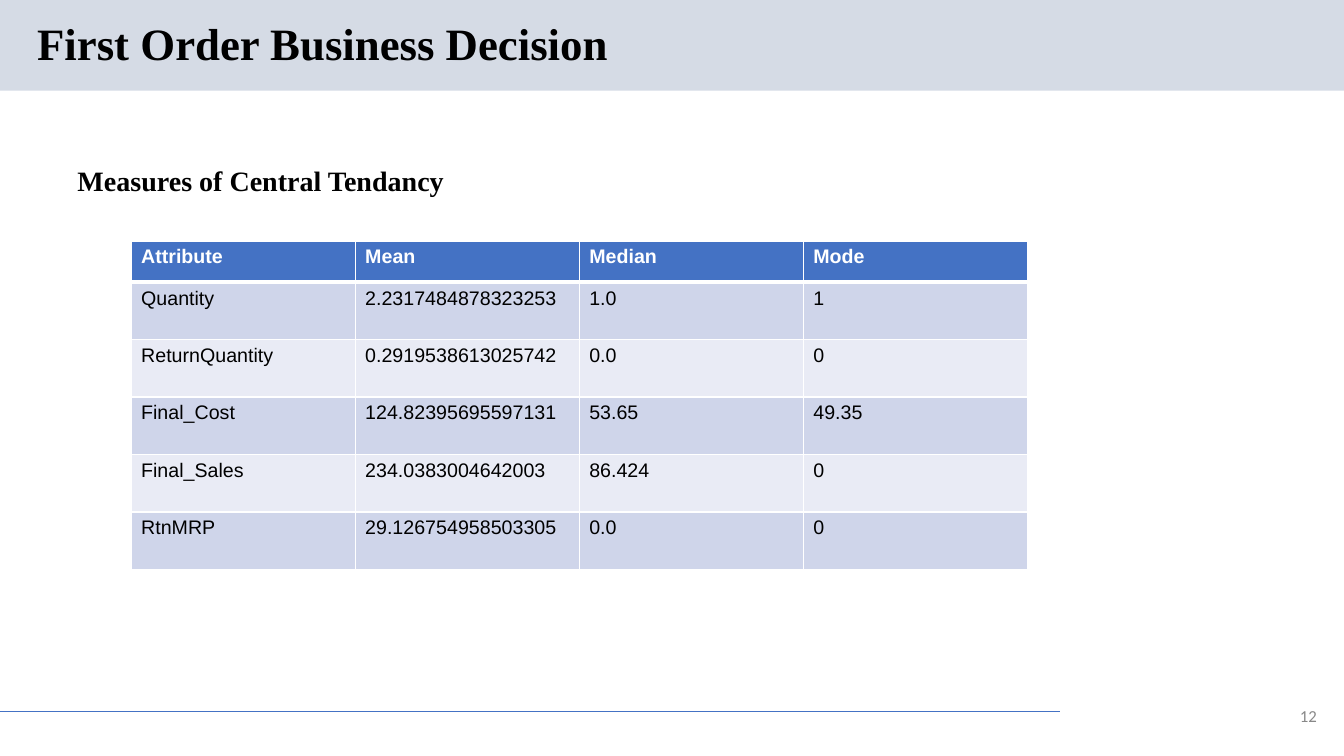
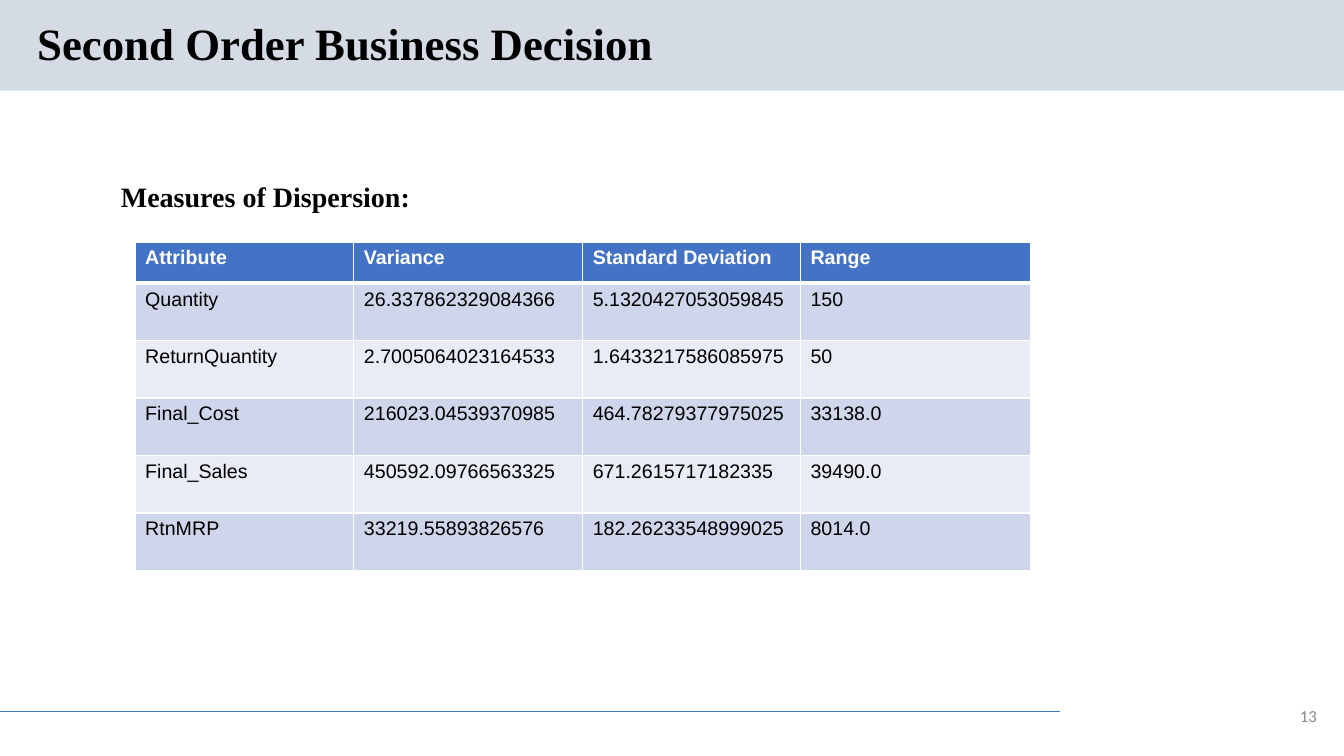
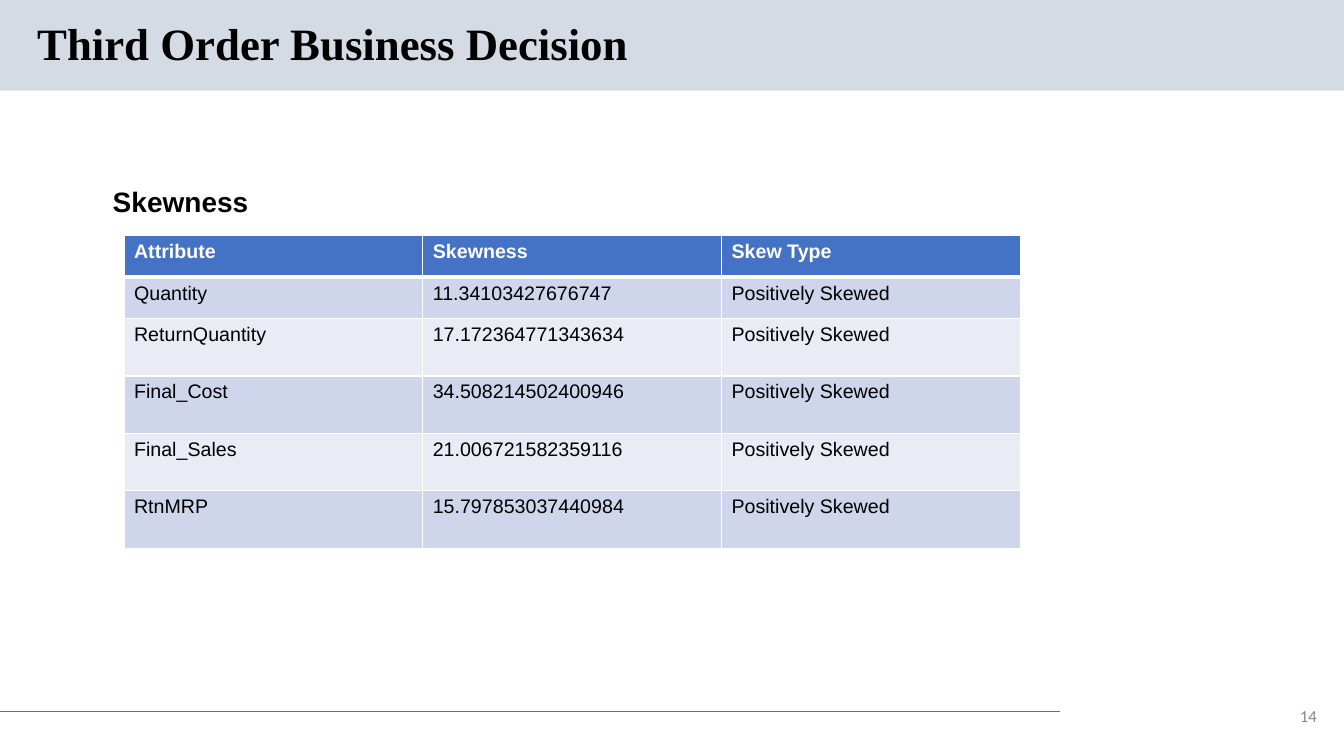
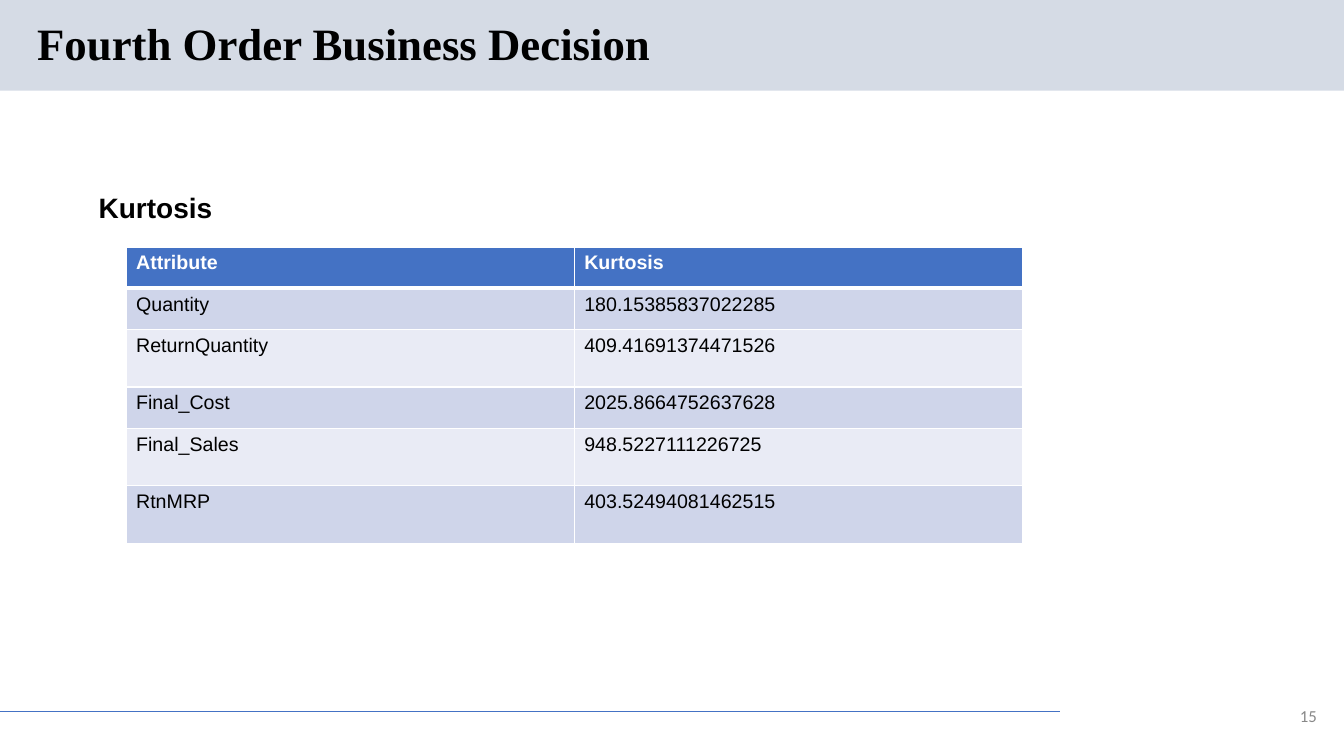
import pptx
import pptx.util
import pptx.dml.color
import pptx.enum.shapes
import pptx.enum.text
import pptx.oxml
import pptx.oxml.ns
import lxml.etree

Inches = pptx.util.Inches
Pt = pptx.util.Pt
ANCHOR = pptx.enum.text.MSO_ANCHOR
ALIGN = pptx.enum.text.PP_ALIGN

BLACK, WHITE, GREY = "000000", "FFFFFF", "888888"
BLUE, BAND = "4472C4", "D5DBE5"
STRIPES = ("CFD5EA", "E9EBF5")
SERIF, SANS, SMALL = "Times New Roman", "Arial", "Calibri"

FIRST = 12
WIDTH = 8.89
LOW, HIGH = 0.41, 0.57
NAMES = ("Quantity", "ReturnQuantity", "Final_Cost", "Final_Sales", "RtnMRP")

# "head" gives text, left, top, width and font; "low" lists the short body rows.
PAGES = [
    {
        "title": "First Order Business Decision",
        "head": ("Measures of Central Tendancy", 0.67, 1.57, 4.09, SERIF),
        "at": (1.3, 2.39),
        "low": (),
        "data": {
            "Mean": ("2.2317484878323253", "0.2919538613025742",
                     "124.82395695597131", "234.0383004642003",
                     "29.126754958503305"),
            "Median": ("1.0", "0.0", "53.65", "86.424", "0.0"),
            "Mode": ("1", "0", "49.35", "0", "0"),
        },
    },
    {
        "title": "Second Order Business Decision",
        "head": ("Measures of Dispersion:", 1.1, 1.73, 6.69, SERIF),
        "at": (1.34, 2.4),
        "low": (),
        "cols": (2.17, 2.27, 2.16, 2.28),
        "data": {
            "Variance": ("26.337862329084366", "2.7005064023164533",
                         "216023.04539370985", "450592.09766563325",
                         "33219.55893826576"),
            "Standard Deviation": ("5.1320427053059845", "1.6433217586085975",
                                   "464.78279377975025", "671.2615717182335",
                                   "182.26233548999025"),
            "Range": ("150", "50", "33138.0", "39490.0", "8014.0"),
        },
    },
    {
        "title": "Third Order Business Decision",
        "head": ("Skewness", 1.02, 1.78, 1.66, SANS),
        "at": (1.23, 2.34),
        "low": ("Quantity",),
        "data": {
            "Skewness": ("11.34103427676747", "17.172364771343634",
                         "34.508214502400946", "21.006721582359116",
                         "15.797853037440984"),
            "Skew Type": ("Positively Skewed",) * len(NAMES),
        },
    },
    {
        "title": "Fourth Order Business Decision",
        "head": ("Kurtosis", 0.88, 1.84, 2.7, SANS),
        "at": (1.25, 2.45),
        "low": ("Quantity", "Final_Cost"),
        "data": {
            "Kurtosis": ("180.15385837022285", "409.41691374471526",
                         "2025.8664752637628", "948.5227111226725",
                         "403.52494081462515"),
        },
    },
]


def rgb(code):
    return pptx.dml.color.RGBColor.from_string(code)


def style(para, size, face, color, bold=False):
    font = para.font
    font.size, font.name, font.bold = Pt(size), face, bold
    font.color.rgb = rgb(color)


def label(slide, text, box, size, face, color=BLACK, bold=False,
          anchor=ANCHOR.TOP, align=ALIGN.LEFT):
    frame = slide.shapes.add_textbox(*map(Inches, box)).text_frame
    frame.word_wrap = True
    frame.vertical_anchor = anchor
    para = frame.paragraphs[0]
    para.text, para.alignment = text, align
    style(para, size, face, color, bold)
    return para


def edge(cell, side, width):
    """Draw one white border; side is L, R, T or B."""
    props = cell._tc.get_or_add_tcPr()
    line = lxml.etree.SubElement(props, pptx.oxml.ns.qn("a:ln" + side),
                                 w=str(Pt(width)))
    fill = lxml.etree.SubElement(line, pptx.oxml.ns.qn("a:solidFill"))
    lxml.etree.SubElement(fill, pptx.oxml.ns.qn("a:srgbClr"), val=WHITE)


def frame_page(slide, title, number):
    """Add the band, title, footer line and page number."""
    band = slide.shapes.add_shape(pptx.enum.shapes.MSO_SHAPE.RECTANGLE,
                                  0, 0, Inches(13.33), Inches(0.9))
    band.shadow.inherit = False
    band.fill.solid()
    band.fill.fore_color.rgb = rgb(BAND)
    band.line.fill.background()

    rule = slide.shapes.add_connector(
        pptx.enum.shapes.MSO_CONNECTOR.STRAIGHT,
        0, Inches(7.06), Inches(10.51), Inches(7.06))
    rule.line.color.rgb = rgb(BLUE)
    rule.line.width = Pt(0.75)
    lxml.etree.SubElement(rule._element.spPr, pptx.oxml.ns.qn("a:effectLst"))

    para = label(slide, title, (0.27, 0.16, 10.11, 0.59), 32, SERIF,
                 bold=True, anchor=ANCHOR.MIDDLE)
    para.line_spacing = 0.9
    label(slide, str(number), (12.73, 6.94, 0.43, 0.32), 12, SMALL, GREY,
          anchor=ANCHOR.MIDDLE, align=ALIGN.RIGHT)


def add_grid(slide, page):
    data = page["data"]
    rows = [("Attribute", *data), *zip(NAMES, *data.values())]
    count = len(rows[0])
    cols = page.get("cols", (WIDTH / count,) * count)
    highs = [LOW] + [LOW if name in page["low"] else HIGH for name in NAMES]
    box = (*page["at"], sum(cols), sum(highs))
    table = slide.shapes.add_table(len(rows), count, *map(Inches, box)).table
    for col, width in zip(table.columns, cols):
        col.width = Inches(width)
    for r, row in enumerate(rows):
        table.rows[r].height = Inches(highs[r])
        top = r == 0
        for c, text in enumerate(row):
            cell = table.cell(r, c)
            for side in "LRTB":
                thick = (r, side) in ((0, "B"), (1, "T"))
                edge(cell, side, 3 if thick else 1)
            cell.fill.solid()
            cell.fill.fore_color.rgb = rgb(BLUE if top else STRIPES[(r - 1) % 2])
            cell.text = text
            style(cell.text_frame.paragraphs[0], 14, SANS,
                  WHITE if top else BLACK, top)


def main():
    deck = pptx.Presentation()
    deck.slide_width, deck.slide_height = Inches(13.33), Inches(7.5)
    for number, page in enumerate(PAGES, FIRST):
        slide = deck.slides.add_slide(deck.slide_layouts[6])
        frame_page(slide, page["title"], number)
        text, left, top, width, face = page["head"]
        label(slide, text, (left, top, width, 0.44), 20, face, bold=True)
        add_grid(slide, page)
    deck.save("out.pptx")


if __name__ == "__main__":
    main()
